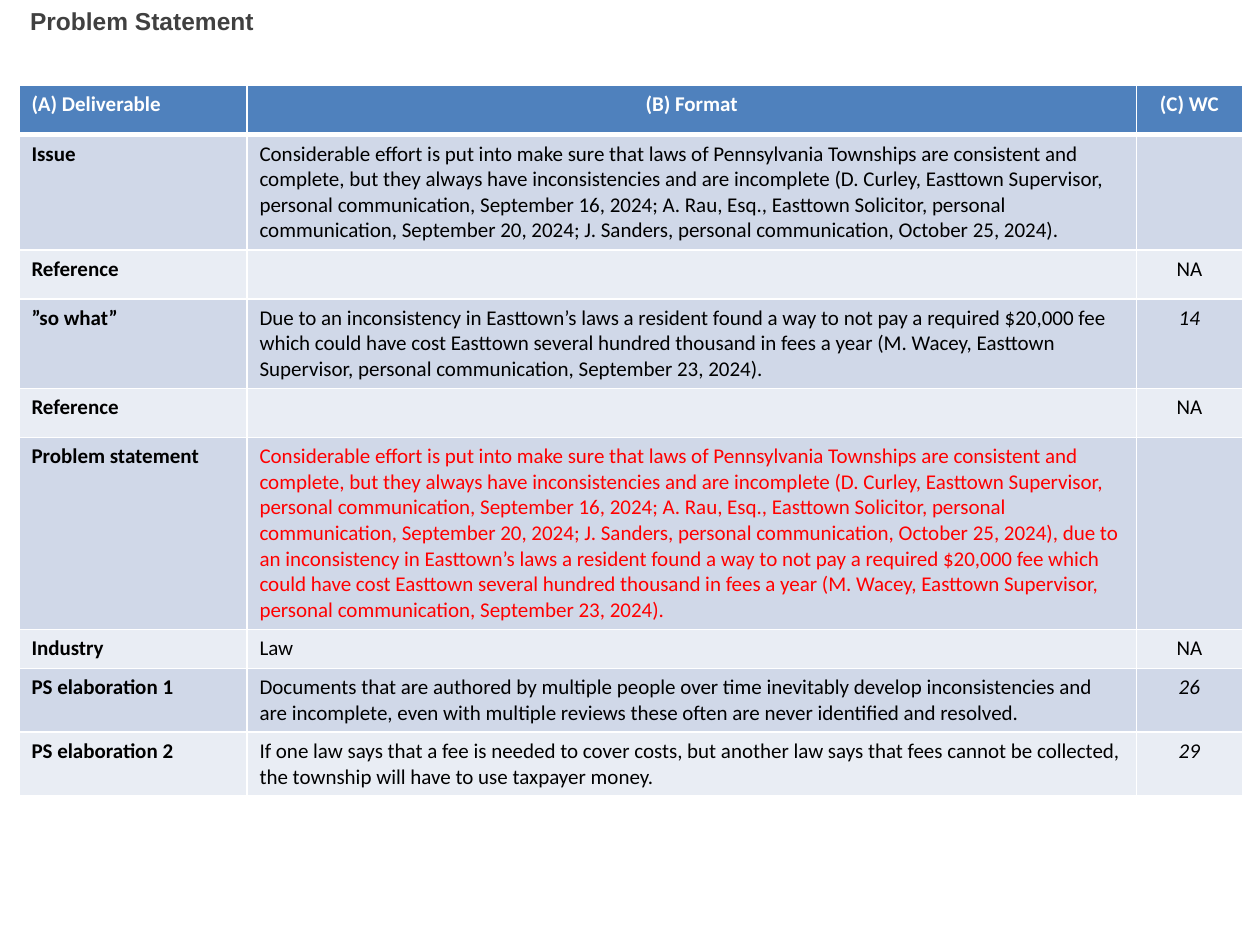
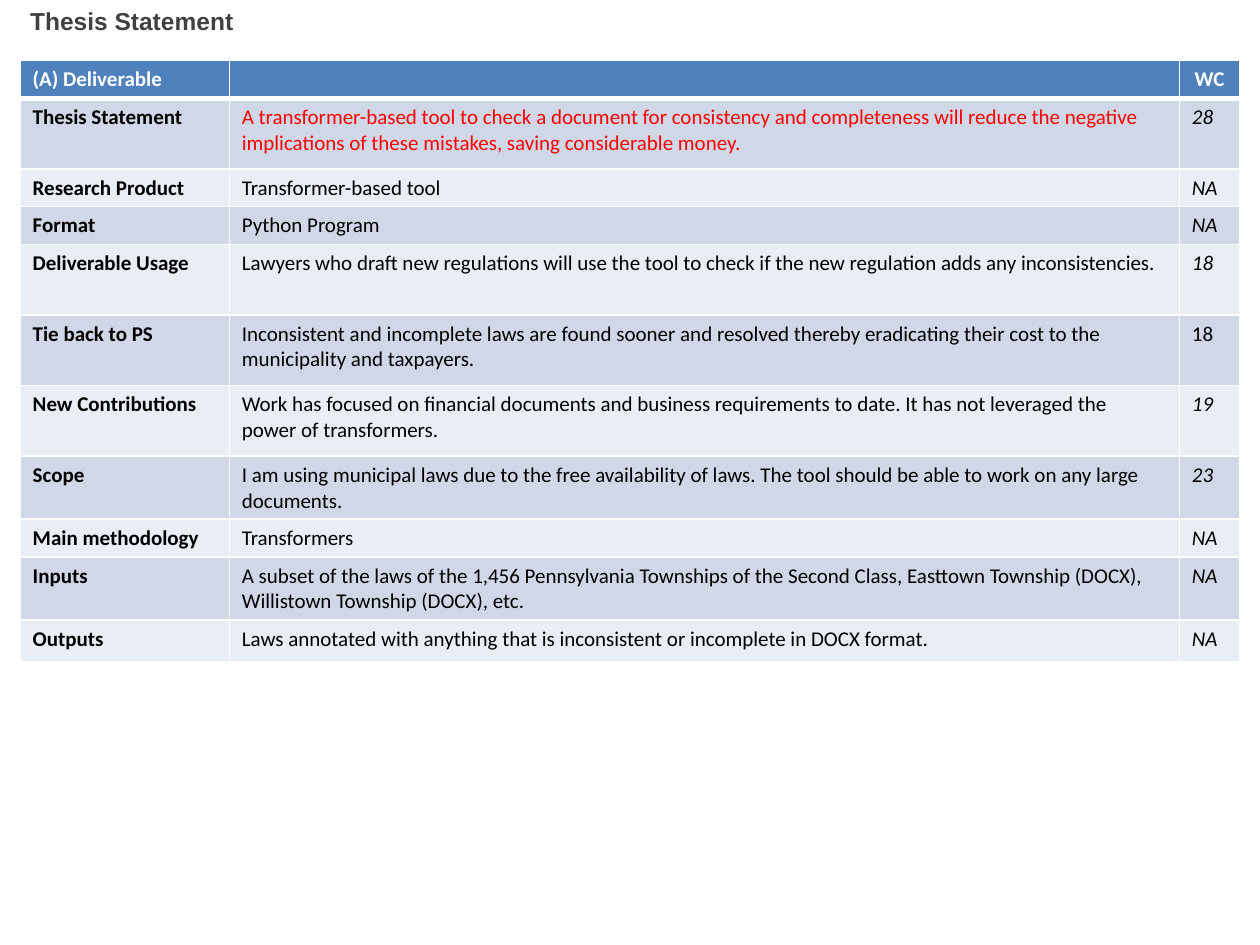
from lxml.etree import SubElement
from pptx import Presentation
from pptx.dml.color import RGBColor
from pptx.enum.text import PP_ALIGN
from pptx.oxml import parse_xml
from pptx.oxml.ns import nsdecls, qn
from pptx.util import Inches, Pt

HEADER_BLUE = RGBColor(0x4F, 0x81, 0xBD)
BAND_FILLS = RGBColor(0xD0, 0xD8, 0xE8), RGBColor(0xE9, 0xED, 0xF4)
WHITE = RGBColor(0xFF, 0xFF, 0xFF)
BLACK = RGBColor(0, 0, 0)
RED = RGBColor(0xFF, 0, 0)
TITLE_GREY = RGBColor(0x40, 0x40, 0x40)

TITLE_BOX = 0.14, 0, 8.48, 0.68
TITLE_FONT = {"name": "Arial", "size": Pt(14), "bold": True}
TABLE_FONT = {"name": "Calibri", "size": Pt(12)}
THIN, THICK = 1, 3

ISSUE = (
    "Considerable effort is put into make sure that laws of Pennsylvania Townships are "
    "consistent and complete, but they always have inconsistencies and are incomplete "
    "(D. Curley, Easttown Supervisor, personal communication, September 16, 2024; A. Rau, Esq., "
    "Easttown Solicitor, personal communication, September 20, 2024; J. Sanders, personal "
    "communication, October 25, 2024)"
)
SO_WHAT = (
    "ue to an inconsistency in Easttown’s laws a resident found a way to not pay a required "
    "$20,000 fee which could have cost Easttown several hundred thousand in fees a year "
    "(M. Wacey, Easttown Supervisor, personal communication, September 23, 2024)."
)

# Each row: height, deliverable, statement, word count
SLIDES = [
    {
        "title": "Problem Statement",
        "corner": (0.15, 0.68),
        "columns": (1.81, 7.06, 0.84),
        "count_align": PP_ALIGN.CENTER,
        "highlight": "Problem statement",
        "upright_counts": {"Reference", "Industry"},
        "rows": [
            (0.39, "(A) Deliverable", "(B) Format", "(C) WC"),
            (0.91, "Issue", ISSUE + ".", ""),
            (0.39, "Reference", "", "NA"),
            (0.71, "”so what”", "D" + SO_WHAT, "14"),
            (0.39, "Reference", "", "NA"),
            (1.52, "Problem statement", f"{ISSUE}, d{SO_WHAT}", ""),
            (0.31, "Industry", "Law", "NA"),
            (0.5, "PS elaboration 1",
             "Documents that are authored by multiple people over time inevitably develop "
             "inconsistencies and are incomplete, even with multiple reviews these often are "
             "never identified and resolved.", "26"),
            (0.5, "PS elaboration 2",
             "If one law says that a fee is needed to cover costs, but another law says that "
             "fees cannot be collected, the township will have to use taxpayer money.", "29"),
        ],
    },
    {
        "title": "Thesis Statement",
        "corner": (0.16, 0.48),
        "columns": (1.66, 7.54, 0.48),
        "count_align": PP_ALIGN.LEFT,
        "highlight": "Thesis Statement",
        "upright_counts": {"Tie back to PS"},
        "rows": [
            (0.3, "(A) Deliverable", "", "WC"),
            (0.56, "Thesis Statement",
             "A transformer-based tool to check a document for consistency and completeness will "
             "reduce the negative implications of these mistakes, saving considerable money.", "28"),
            (0.3, "Research Product", "Transformer-based tool", "NA"),
            (0.3, "Format", "Python Program", "NA"),
            (0.56, "Deliverable Usage",
             "Lawyers who draft new regulations will use the tool to check if the new regulation "
             "adds any inconsistencies.", "18"),
            (0.56, "Tie back to PS",
             "Inconsistent and incomplete laws are found sooner and resolved thereby eradicating "
             "their cost to the municipality and taxpayers.", "18"),
            (0.56, "New Contributions",
             "Work has focused on financial documents and business requirements to date. It has "
             "not leveraged the power of transformers.", "19"),
            (0.5, "Scope",
             "I am using municipal laws due to the free availability of laws. The tool should be "
             "able to work on any large documents.", "23"),
            (0.3, "Main methodology", "Transformers", "NA"),
            (0.5, "Inputs",
             "A subset of the laws of the 1,456 Pennsylvania Townships of the Second Class, "
             "Easttown Township (DOCX), Willistown Township (DOCX), etc.", "NA"),
            (0.33, "Outputs",
             "Laws annotated with anything that is inconsistent or incomplete in DOCX format.", "NA"),
        ],
    },
]


def write(paragraph, text, color, font, align=PP_ALIGN.LEFT):
    paragraph.alignment = align
    if not text:
        # Keeps an empty cell from growing to the default text size
        SubElement(paragraph._p, qn("a:endParaRPr"), sz=str(int(font["size"].pt * 100)))
        return
    run = paragraph.add_run()
    run.text = text
    run.font.color.rgb = color
    for attribute, value in font.items():
        setattr(run.font, attribute, value)


def add_borders(cell, top, bottom):
    """Draw white borders; they must precede the fill in the cell properties."""
    widths = {"lnL": THIN, "lnR": THIN, "lnT": top, "lnB": bottom}
    properties = cell._tc.get_or_add_tcPr()
    for position, (side, width) in enumerate(widths.items()):
        properties.insert(position, parse_xml(
            f'<a:{side} {nsdecls("a")} w="{Pt(width)}"><a:solidFill>'
            f'<a:srgbClr val="{WHITE}"/></a:solidFill></a:{side}>'))


def add_title(slide, title):
    frame = slide.shapes.add_textbox(*map(Inches, TITLE_BOX)).text_frame
    frame.word_wrap = True
    write(frame.paragraphs[0], title, TITLE_GREY, TITLE_FONT)


def cell_style(content, row, column):
    """Return text colour, font values and alignment for one cell."""
    deliverable = content["rows"][row][1]
    if row == 0:
        return WHITE, {"bold": True}, PP_ALIGN.CENTER if column else PP_ALIGN.LEFT
    if column == 0:
        return BLACK, {"bold": True}, PP_ALIGN.LEFT
    if column == 1:
        color = RED if deliverable == content["highlight"] else BLACK
        return color, {"bold": False}, PP_ALIGN.LEFT
    italic = deliverable not in content["upright_counts"]
    return BLACK, {"bold": False, "italic": italic}, content["count_align"]


def add_deliverables(slide, content):
    rows, columns = content["rows"], content["columns"]
    size = sum(columns), sum(row[0] for row in rows)
    table = slide.shapes.add_table(
        len(rows), len(columns), *map(Inches, content["corner"] + size)).table
    for column, width in zip(table.columns, columns):
        column.width = Inches(width)
    for r, (height, *texts) in enumerate(rows):
        table.rows[r].height = Inches(height)
        for c, text in enumerate(texts):
            cell = table.cell(r, c)
            cell.fill.solid()
            cell.fill.fore_color.rgb = BAND_FILLS[(r - 1) % 2] if r else HEADER_BLUE
            add_borders(cell, THICK if r == 1 else THIN, THICK if r == 0 else THIN)
            color, emphasis, align = cell_style(content, r, c)
            write(cell.text_frame.paragraphs[0], text, color, TABLE_FONT | emphasis, align)


def main():
    deck = Presentation()
    deck.slide_width, deck.slide_height = Inches(10), Inches(7.5)
    for content in SLIDES:
        slide = deck.slides.add_slide(deck.slide_layouts[6])
        add_deliverables(slide, content)
        add_title(slide, content["title"])
    deck.save("out.pptx")


if __name__ == "__main__":
    main()
